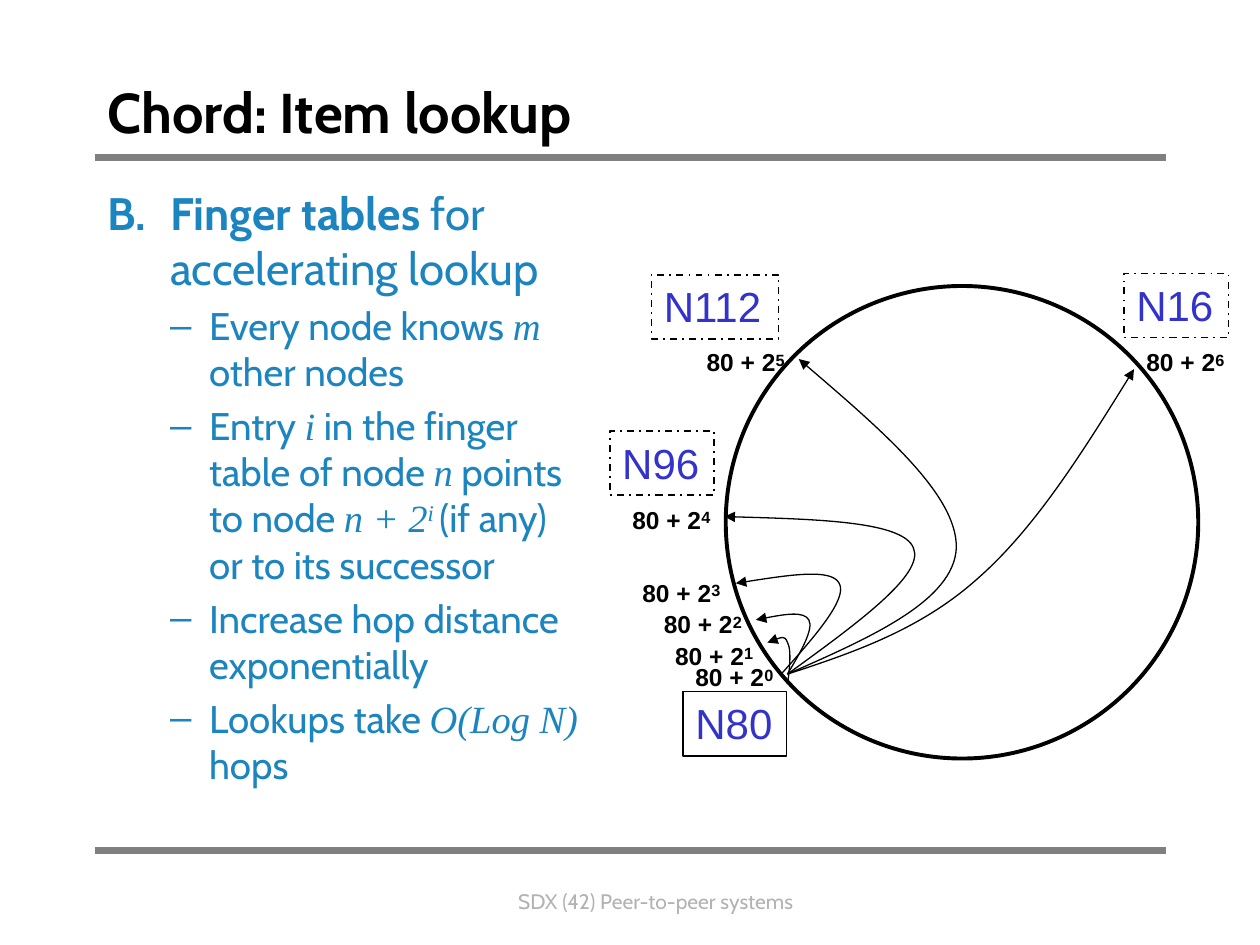
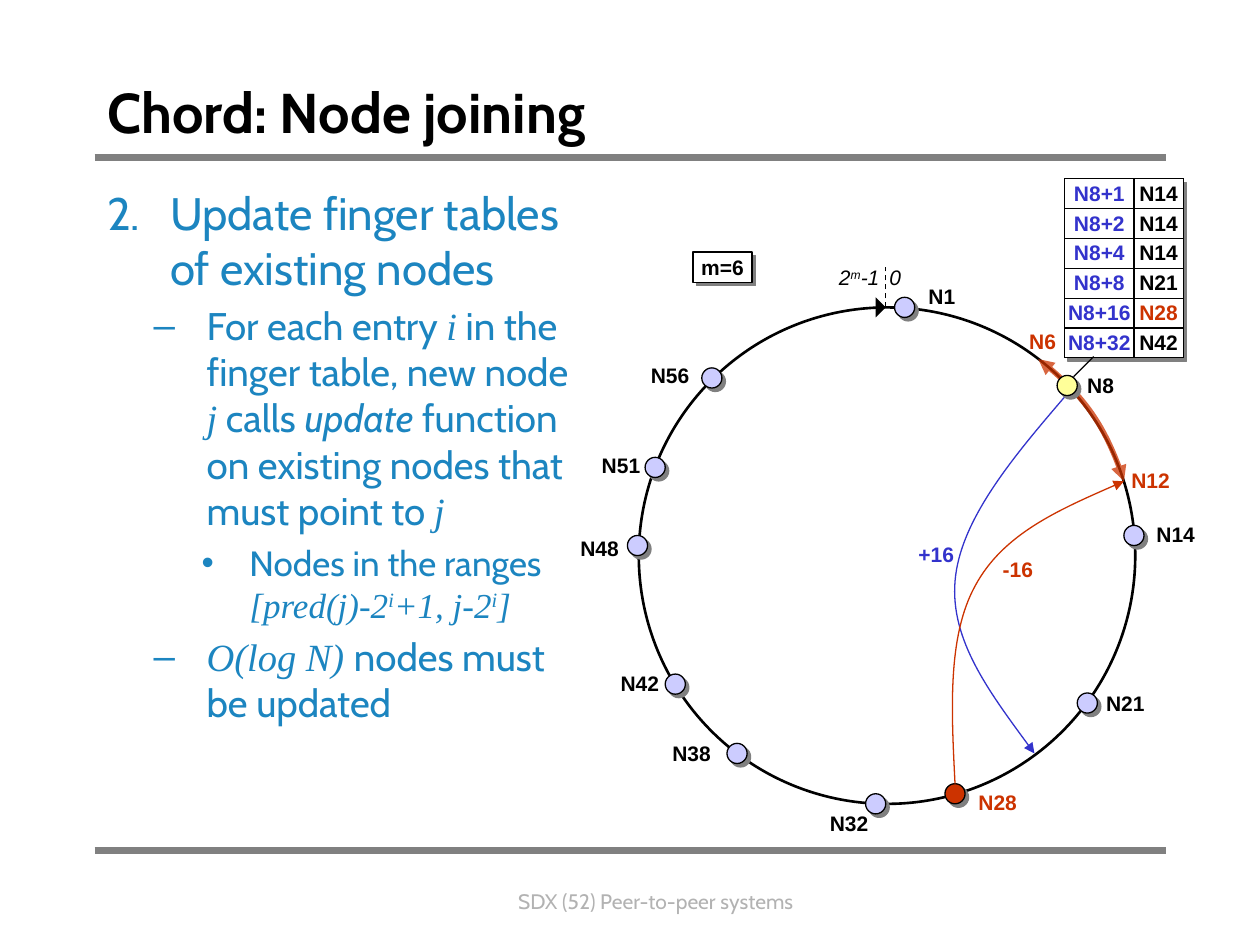
from dataclasses import dataclass
from typing import NamedTuple

from lxml.etree import SubElement
from pptx import Presentation
from pptx.dml.color import RGBColor
from pptx.enum.dml import MSO_LINE
from pptx.enum.shapes import MSO_CONNECTOR, MSO_SHAPE
from pptx.enum.text import MSO_ANCHOR, MSO_AUTO_SIZE, PP_ALIGN
from pptx.oxml.ns import qn
from pptx.util import Pt

PX = 9144
BLACK, WHITE, GREY, PALE = "000000", "FFFFFF", "808080", "B2B2B2"
TEAL, BLUE, RED, LILAC, YELLOW = "1C85C0", "3333CC", "CC3300", "CCCCFF", "FFFF99"
CABIN, ARIAL, TIMES = "Cabin", "Arial", "Times New Roman"
LEFT, MID, RIGHT = PP_ALIGN.LEFT, PP_ALIGN.CENTER, PP_ALIGN.RIGHT


class Box(NamedTuple):
    x: int
    y: int
    w: int
    h: int

    def emu(self) -> list:
        return [v * PX for v in self]


@dataclass
class Run:
    text: str
    face: str = CABIN
    size: int = 22
    ink: str = TEAL
    bold: bool = False
    slant: bool = False
    base: int = 0


@dataclass
class Item:
    runs: list
    level: int = 1
    left: int = 81
    hang: int = 31
    mark: str = "–"


@dataclass
class Node:
    name: str
    x: int
    y: int
    tag_x: int
    tag_y: int
    side: PP_ALIGN = LEFT
    fill: str = LILAC
    ink: str = BLACK


class Curve(NamedTuple):
    start: tuple
    bends: list
    ink: str = BLACK


def paint(code: str) -> RGBColor:
    return RGBColor.from_string(code)


def math(text: str, base: int = 0, size: int = 22) -> Run:
    return Run(text, TIMES, size, slant=True, base=base)


def label(text: str, ink: str = BLACK, size: int = 12, base: int = 0) -> Run:
    return Run(text, ARIAL, size, ink, True, base=base)


def write(para, runs: list, side=LEFT) -> None:
    para.alignment = side
    for part in runs:
        if part.text == "\n":
            para.add_line_break()
            continue
        run = para.add_run()
        run.text = part.text
        font = run.font
        font.name, font.size = part.face, Pt(part.size)
        font.bold, font.italic = part.bold, part.slant
        font.color.rgb = paint(part.ink)
        if part.base:
            run._r.get_or_add_rPr().set("baseline", str(part.base * 1000))


def add_text(slide, box: Box, runs: list, side=LEFT, wrap: bool = False):
    frame = slide.shapes.add_textbox(*box.emu()).text_frame
    frame.word_wrap = wrap
    frame.auto_size = MSO_AUTO_SIZE.SHAPE_TO_FIT_TEXT
    write(frame.paragraphs[0], runs, side)
    return frame.paragraphs[0]


def add_tag(slide, x: int, y: int, w: int, text: str, ink: str = BLACK, side=LEFT) -> None:
    add_text(slide, Box(x, y, w, 30), [label(text, ink)], side)


def style(shape, fill: str | None, ink: str | None, width: float) -> None:
    shape.shadow.inherit = False
    if fill:
        shape.fill.solid()
        shape.fill.fore_color.rgb = paint(fill)
    else:
        shape.fill.background()
    if ink:
        shape.line.color.rgb = paint(ink)
        shape.line.width = Pt(width)
    else:
        shape.line.fill.background()


def add_form(slide, kind, box: Box, fill=None, ink=BLACK, width: float = 0.75, shade=False):
    shape = slide.shapes.add_shape(kind, *box.emu())
    style(shape, fill, ink, width)
    if shade:
        glow = shape._element.spPr.find(qn("a:effectLst"))
        drop = SubElement(glow, qn("a:outerShdw"), dist=str(Pt(2.8)), dir="2700000",
                          algn="ctr", rotWithShape="0")
        SubElement(drop, qn("a:srgbClr"), val=GREY)
    return shape


def add_line(slide, x: int, y: int, to_x: int, to_y: int, ink=BLACK, width: float = 0.75):
    line = slide.shapes.add_connector(MSO_CONNECTOR.STRAIGHT, x * PX, y * PX, to_x * PX, to_y * PX)
    line.line.color.rgb = paint(ink)
    line.line.width = Pt(width)
    SubElement(line._element.spPr, qn("a:effectLst"))
    return line


def add_curve(slide, curve: Curve, width: float = 0.75, ends: tuple = ("tailEnd",)):
    draft = slide.shapes.build_freeform(*curve.start, scale=PX)
    draft.add_line_segments(curve.bends, close=False)
    shape = draft.convert_to_shape()
    style(shape, None, curve.ink, width)
    route = shape._element.spPr.find(".//" + qn("a:path"))
    legs = route.findall(qn("a:lnTo"))
    for first in range(0, len(legs), 3):
        bend = SubElement(route, qn("a:cubicBezTo"))
        for leg in legs[first:first + 3]:
            bend.append(leg[0])
            route.remove(leg)
    for end in ends:
        SubElement(shape.line._get_or_add_ln(), qn("a:" + end), type="triangle")
    return shape


def place(holder, box: Box):
    holder.left, holder.top, holder.width, holder.height = box.emu()
    holder.text_frame.auto_size = MSO_AUTO_SIZE.NONE
    return holder.text_frame


def add_list(slide, items: list) -> None:
    frame = place(slide.placeholders[1], Box(75, 142, 400, 525))
    for count, item in enumerate(items):
        para = frame.add_paragraph() if count else frame.paragraphs[0]
        para.level = item.level
        write(para, item.runs)
        props = para._p.get_or_add_pPr()
        props.set("marL", str(item.left * PX))
        props.set("indent", str(-item.hang * PX))
        if item.level:
            SubElement(props, qn("a:buChar"), char=item.mark)
        else:
            SubElement(props, qn("a:buAutoNum"), type=item.mark, startAt="2")


def add_page(deck, title: str, number: int, items: list):
    slide = deck.slides.add_slide(deck.slide_layouts[1])
    for y in (125, 675):
        add_line(slide, 75, y, 925, y, GREY, 4.5)
    add_text(slide, Box(233, 700, 575, 30),
             [Run(f"SDX ({number}) Peer-to-peer systems", size=12, ink=PALE)], MID, True)
    frame = place(slide.shapes.title, Box(75, 42, 850, 92))
    frame.vertical_anchor = MSO_ANCHOR.MIDDLE
    write(frame.paragraphs[0], [Run(title, size=32, ink=BLACK, bold=True)])
    add_list(slide, items)
    return slide


def add_table(slide, box: Box, widths: tuple, rows: list) -> None:
    add_form(slide, MSO_SHAPE.RECTANGLE, box, WHITE, shade=True)
    table = slide.shapes.add_table(len(rows), len(widths), *box.emu()).table
    table.first_row = table.horz_banding = False
    for column, width in zip(table.columns, widths):
        column.width = width * PX
    for r, row in enumerate(rows):
        table.rows[r].height = box.h * PX // len(rows)
        for c, run in enumerate(row):
            cell = table.cell(r, c)
            cell.margin_left = cell.margin_right = cell.margin_top = cell.margin_bottom = 0
            cell.vertical_anchor = MSO_ANCHOR.MIDDLE
            write(cell.text_frame.paragraphs[0], [run], MID)
            props = cell._tc.get_or_add_tcPr()
            for edge in ("lnL", "lnR", "lnT", "lnB"):
                rule = SubElement(props, qn("a:" + edge), w=str(Pt(0.75)))
                SubElement(SubElement(rule, qn("a:solidFill")), qn("a:srgbClr"), val=BLACK)
            cell.fill.solid()
            cell.fill.fore_color.rgb = paint(WHITE)


def draw_lookup(deck) -> None:
    slide = add_page(deck, "Chord: Item lookup", 42, [
        Item([Run("Finger tables", size=26, bold=True),
              Run(" for accelerating lookup", size=26)], 0, 50, 50, "alphaUcPeriod"),
        Item([Run("Every node knows "), math("m"), Run(" other nodes")]),
        Item([Run("Entry "), math("i"), Run(" in the finger table of node "), math("n"),
              Run(" points to node "), math("n + 2"), math("i ", 30),
              Run("(if any) or to its successor")]),
        Item([Run("Increase hop distance exponentially")]),
        Item([Run("Lookups take "), math("O(Log N)"), Run(" hops")]),
    ])
    add_form(slide, MSO_SHAPE.OVAL, Box(576, 227, 375, 375), width=2.25)
    for name, box in (("N80", Box(542, 549, 82, 51)), ("N112", Box(517, 218, 101, 51)),
                      ("N96", Box(484, 342, 83, 51)), ("N16", Box(892, 217, 83, 51))):
        home = name == "N80"
        shape = add_form(slide, MSO_SHAPE.RECTANGLE, box, width=0.75 if home else 1)
        if not home:
            shape.line.dash_style = MSO_LINE.DASH_DOT
        shape.text_frame.word_wrap = False
        shape.text_frame.vertical_anchor = MSO_ANCHOR.TOP
        write(shape.text_frame.paragraphs[0], [Run(name, ARIAL, 24, BLUE)])
    spots = [(542, 518), (526, 501), (517, 476), (500, 451), (492, 393), (551, 268), (900, 268)]
    for power, (x, y) in enumerate(spots):
        add_text(slide, Box(x, y, 83, 37),
                 [label("80 + 2", size=14), label(str(power), size=16, base=20)])
    for curve in (
        Curve((625, 543), [(627, 529), (628, 515), (625, 510), (623, 504), (616, 507), (609, 510)]),
        Curve((625, 535), [(636, 517), (646, 499), (642, 492), (638, 485), (619, 488), (600, 492)]),
        Curve((620, 535), [(647, 505), (673, 475), (666, 463), (660, 451), (622, 457), (584, 463)]),
        Curve((625, 535), [(680, 495), (734, 456), (725, 435), (717, 414), (646, 412), (575, 410)]),
        Curve((625, 535), [(691, 506), (757, 477), (759, 435), (760, 393), (697, 339), (634, 285)]),
        Curve((625, 535), [(677, 518), (730, 500), (775, 460), (821, 420), (861, 356), (900, 293)]),
    ):
        add_curve(slide, curve)


def add_node(slide, node: Node) -> None:
    add_form(slide, MSO_SHAPE.OVAL, Box(node.x, node.y, 16, 16), node.fill, shade=True)
    add_tag(slide, node.tag_x, node.tag_y, 21 + 10 * len(node.name), node.name, node.ink, node.side)


def draw_join(deck) -> None:
    slide = add_page(deck, "Chord: Node joining", 52, [
        Item([Run("Update finger tables of existing nodes", size=26)], 0, 50, 50, "arabicPeriod"),
        Item([Run("For each entry "), math("i"), Run(" in the finger table, new node "), math("j"),
              Run(" calls "), Run("update", slant=True),
              Run(" function on existing nodes that must point to "), math("j")], 1, 79, 42),
        Item([Run("Nodes in the ranges", size=20), Run("\n"), math("[pred(j)-2", 0, 20),
              math("i", 30, 20), math("+1, j-2", 0, 20), math("i", 30, 20), math("]", 0, 20)],
             2, 113, 38, "•"),
        Item([math("O(log N) "), Run("nodes must be updated")], 1, 79, 42),
    ])
    add_form(slide, MSO_SHAPE.OVAL, Box(507, 244, 394, 394), width=1.5)
    add_line(slide, 703, 244, 703, 212).line.dash_style = MSO_LINE.DASH
    for node in (
        Node("N1", 710, 236, 727, 220),
        Node("N14", 892, 417, 908, 409),
        Node("N21", 855, 550, 868, 543),
        Node("N32", 687, 630, 648, 638, RIGHT),
        Node("N38", 577, 590, 523, 583, RIGHT),
        Node("N42", 528, 535, 482, 527, RIGHT),
        Node("N48", 498, 425, 450, 420, RIGHT),
        Node("N51", 512, 363, 467, 354, RIGHT),
        Node("N56", 557, 292, 506, 283, RIGHT),
        Node("N28", 750, 622, 766, 622, RIGHT, RED, RED),
    ):
        add_node(slide, node)
    size = add_form(slide, MSO_SHAPE.RECTANGLE, Box(550, 200, 47, 24), WHITE, shade=True)
    size.text_frame.word_wrap = False
    write(size.text_frame.paragraphs[0], [label("m=6")], MID)
    add_form(slide, MSO_SHAPE.ISOSCELES_TRIANGLE, Box(691, 240, 16, 8), BLACK, None).rotation = 90
    para = add_text(slide, Box(656, 205, 71, 30), [
        Run(text, ARIAL, 12, BLACK, slant=True, base=base)
        for text, base in (("2", 0), ("m", 30), ("-1\t0", 0))], wrap=True)
    stops = SubElement(para._p.get_or_add_pPr(), qn("a:tabLst"))
    SubElement(stops, qn("a:tab"), pos=str(40 * PX), algn="l")
    goals = ["N14", "N14", "N14", "N21", "N28", "N42"]
    add_table(slide, Box(845, 142, 94, 142), (55, 39), [
        [label(f"N8+{2 ** power}", BLUE), label(goal, RED if goal == "N28" else BLACK)]
        for power, goal in enumerate(goals)])
    add_line(slide, 852, 299, 868, 283)
    add_curve(slide, Curve((845, 315), [(803, 364), (762, 413), (758, 461),
                                        (754, 508), (788, 553), (821, 598)], BLUE))
    add_tag(slide, 719, 425, 48, "+16", BLUE, RIGHT)
    add_tag(slide, 786, 437, 44, "-16", RED)
    arc = add_curve(slide, Curve((824, 285), [(856, 309), (880, 343), (892, 382)], RED),
                    3, ("headEnd", "tailEnd"))
    tint = arc.line._get_or_add_ln().find(".//" + qn("a:srgbClr"))
    SubElement(tint, qn("a:alpha"), val="75000")
    add_tag(slide, 888, 366, 51, "N12", RED)
    add_tag(slide, 807, 256, 41, "N6", RED)
    add_curve(slide, Curve((758, 622), [(755, 563), (752, 505), (774, 465),
                                        (796, 424), (844, 403), (892, 382)], RED))
    add_node(slide, Node("N8", 839, 298, 853, 291, fill=YELLOW))


def main() -> None:
    deck = Presentation()
    deck.slide_width, deck.slide_height = 1000 * PX, 750 * PX
    draw_lookup(deck)
    draw_join(deck)
    deck.save("out.pptx")


if __name__ == "__main__":
    main()
